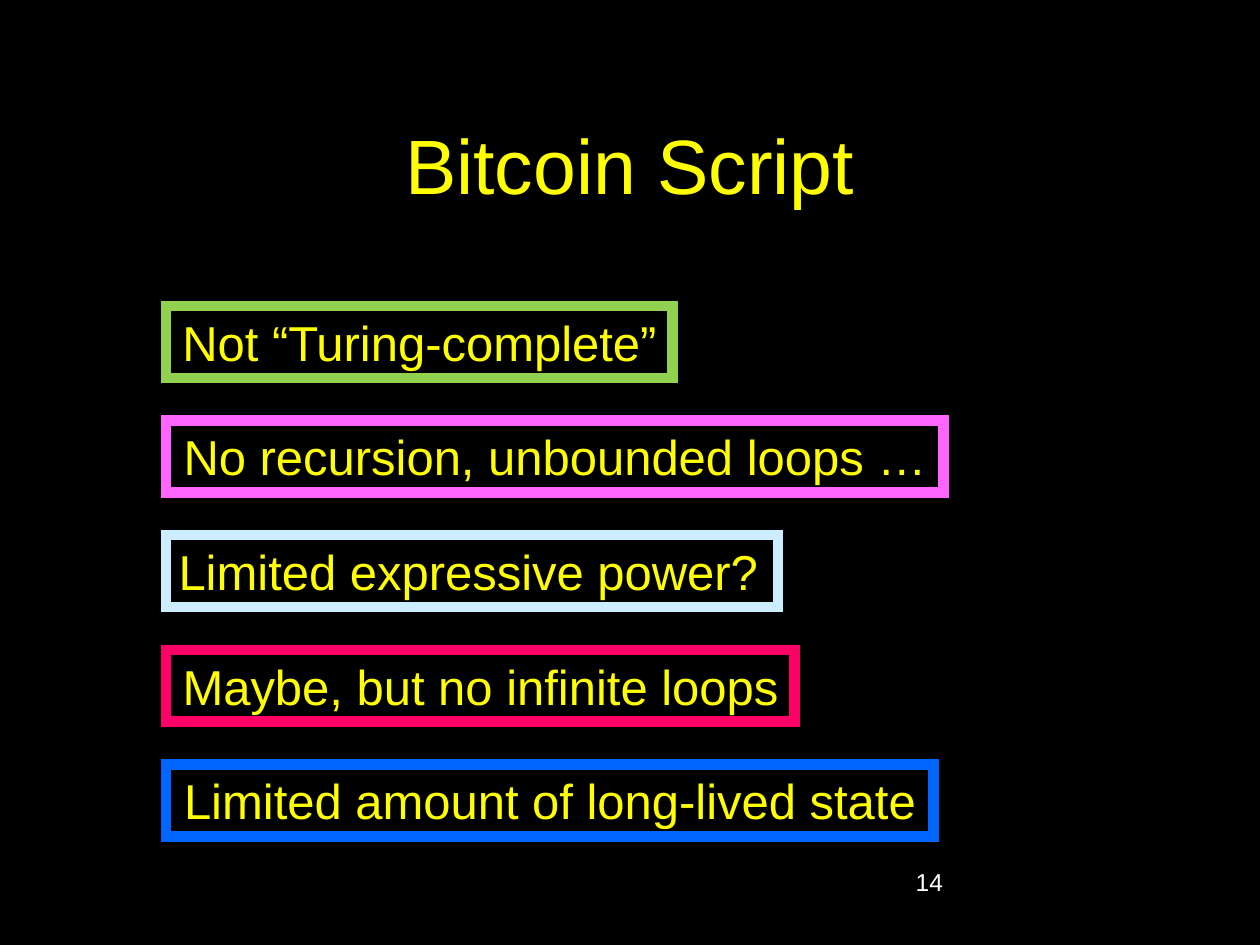
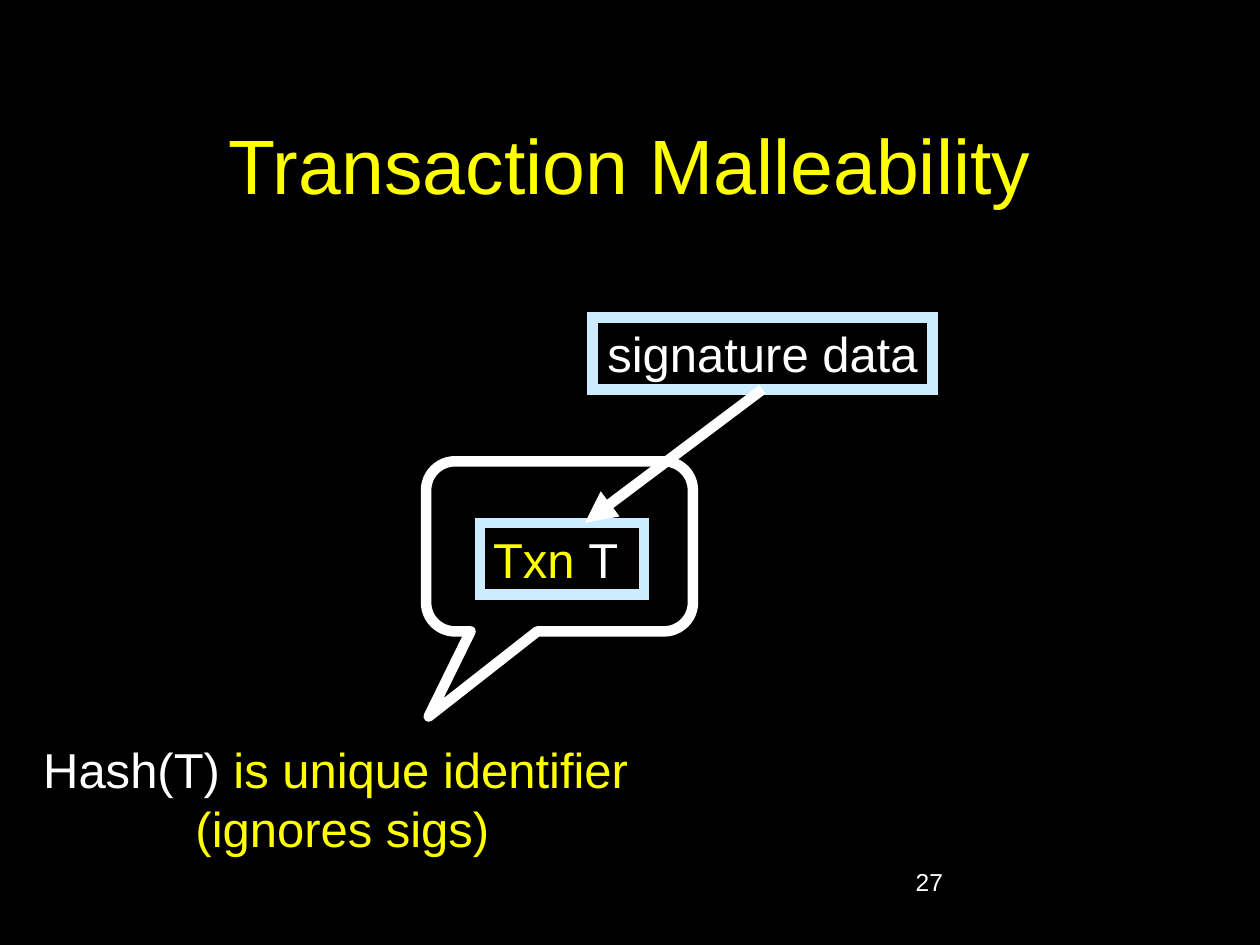
"""Build two slides on Bitcoin Script and transaction malleability."""
import lxml.etree
import pptx
import pptx.dml.color
import pptx.enum.shapes
import pptx.enum.text
import pptx.oxml.ns
import pptx.util

Cm = pptx.util.Cm
Pt = pptx.util.Pt
RGBColor = pptx.dml.color.RGBColor
ALIGN = pptx.enum.text.PP_ALIGN
ANCHOR = pptx.enum.text.MSO_ANCHOR
SHAPE = pptx.enum.shapes.MSO_SHAPE
qn = pptx.oxml.ns.qn

BLACK = RGBColor(0x00, 0x00, 0x00)
WHITE = RGBColor(0xFF, 0xFF, 0xFF)
YELLOW = RGBColor(0xFF, 0xFF, 0x00)
GREEN = RGBColor(0x92, 0xD0, 0x50)
PINK = RGBColor(0xFF, 0x66, 0xFF)
PALE_BLUE = RGBColor(0xCC, 0xEC, 0xFF)
RED = RGBColor(0xFF, 0x00, 0x66)
BLUE = RGBColor(0x00, 0x66, 0xFF)

LINE_WIDTH = Pt(6)
BOX_HEIGHT = 1.45


def write(frame, lines, size, align=ALIGN.CENTER):
    """Fill a text frame with lines, each a list of (text, colour) spans."""
    for index, spans in enumerate(lines):
        para = frame.add_paragraph() if index else frame.paragraphs[0]
        para.alignment = align
        for text, colour in spans:
            span = para.add_run()
            span.text = text
            span.font.color.rgb = colour
            for name, value in {"name": "Arial", "size": Pt(size)}.items():
                setattr(span.font, name, value)


def add_box(page, place, lines, border=None, align=ALIGN.CENTER):
    """Add a black box with 28 point text and an optional mitred border."""
    box = page.shapes.add_shape(SHAPE.RECTANGLE, *map(Cm, place))
    box.shadow.inherit = False
    box.fill.solid()
    box.fill.fore_color.rgb = BLACK
    if border is None:
        box.line.fill.background()
    else:
        box.line.color.rgb = border
        box.line.width = LINE_WIDTH
        outline = box._element.spPr.find(qn("a:ln"))
        lxml.etree.SubElement(outline, qn("a:miter"), lim="800000")
    frame_format = {"word_wrap": align == ALIGN.LEFT, "vertical_anchor": ANCHOR.TOP}
    for name, value in frame_format.items():
        setattr(box.text_frame, name, value)
    write(box.text_frame, lines, 28, align)
    return box


deck = pptx.Presentation()
deck.slide_width = Cm(25.4)
deck.slide_height = Cm(19.05)
backdrop = deck.slide_master.background.fill
backdrop.solid()
backdrop.fore_color.rgb = BLACK

pages = []
for heading, number in (("Bitcoin Script", "14"), ("Transaction Malleability", "27")):
    page = deck.slides.add_slide(deck.slide_layouts[5])
    title = page.shapes.title
    title_place = {"left": 1.9, "top": 1.7, "width": 21.6, "height": 3.18}
    for name, value in title_place.items():
        setattr(title, name, Cm(value))
    title.text_frame.vertical_anchor = ANCHOR.MIDDLE
    write(title.text_frame, [[(heading, YELLOW)]], 44)
    footer = page.shapes.add_textbox(Cm(18.21), Cm(17.35), Cm(5.28), Cm(1.27))
    footer.text_frame.word_wrap = True
    write(footer.text_frame, [[(number, WHITE)]], 14, ALIGN.LEFT)
    pages.append(page)
script_page, transaction_page = pages

claims = (
    ("Not “Turing-complete”", 10.21, GREEN, ALIGN.CENTER),
    ("No recursion, unbounded loops …", 15.67, PINK, ALIGN.CENTER),
    ("Limited expressive power?", 12.34, PALE_BLUE, ALIGN.LEFT),
    ("Maybe, but no infinite loops", 12.67, RED, ALIGN.CENTER),
    ("Limited amount of long-lived state", 15.47, BLUE, ALIGN.CENTER),
)
for row, (claim, width, border, align) in enumerate(claims):
    place = (3.35, 6.17 + 2.31 * row, width, BOX_HEIGHT)
    add_box(script_page, place, [[(claim, YELLOW)]], border, align)

hash_lines = [
    [("Hash(T)", WHITE), (" is unique identifier", YELLOW)],
    [(" (ignores sigs)", YELLOW)],
]
add_box(transaction_page, (0.53, 14.78, 12.47, 2.64), hash_lines)

callout = transaction_page.shapes.add_shape(
    SHAPE.ROUNDED_RECTANGULAR_CALLOUT, Cm(8.59), Cm(9.3), Cm(5.38), Cm(3.43)
)
callout.shadow.inherit = False
callout.fill.background()
callout.line.color.rgb = WHITE
callout.line.width = LINE_WIDTH
for index, value in enumerate((-0.49, 1.0, 0.17)):
    callout.adjustments[index] = value

transaction_spans = [("Txn ", YELLOW), ("T ", WHITE)]
add_box(transaction_page, (9.68, 10.54, 3.3, BOX_HEIGHT), [transaction_spans], PALE_BLUE)
signature = add_box(
    transaction_page, (11.94, 6.4, 6.86, BOX_HEIGHT), [[("signature data", WHITE)]], PALE_BLUE
)

arrow = transaction_page.shapes.add_connector(
    pptx.enum.shapes.MSO_CONNECTOR.STRAIGHT,
    signature.left + signature.width // 2,
    signature.top + signature.height,
    Cm(11.79),
    Cm(10.54),
)
arrow.line.color.rgb = WHITE
arrow.line.width = LINE_WIDTH
arrow_properties = arrow._element.spPr
lxml.etree.SubElement(arrow_properties.find(qn("a:ln")), qn("a:tailEnd"), type="triangle")
lxml.etree.SubElement(arrow_properties, qn("a:effectLst"))

deck.save("out.pptx")
